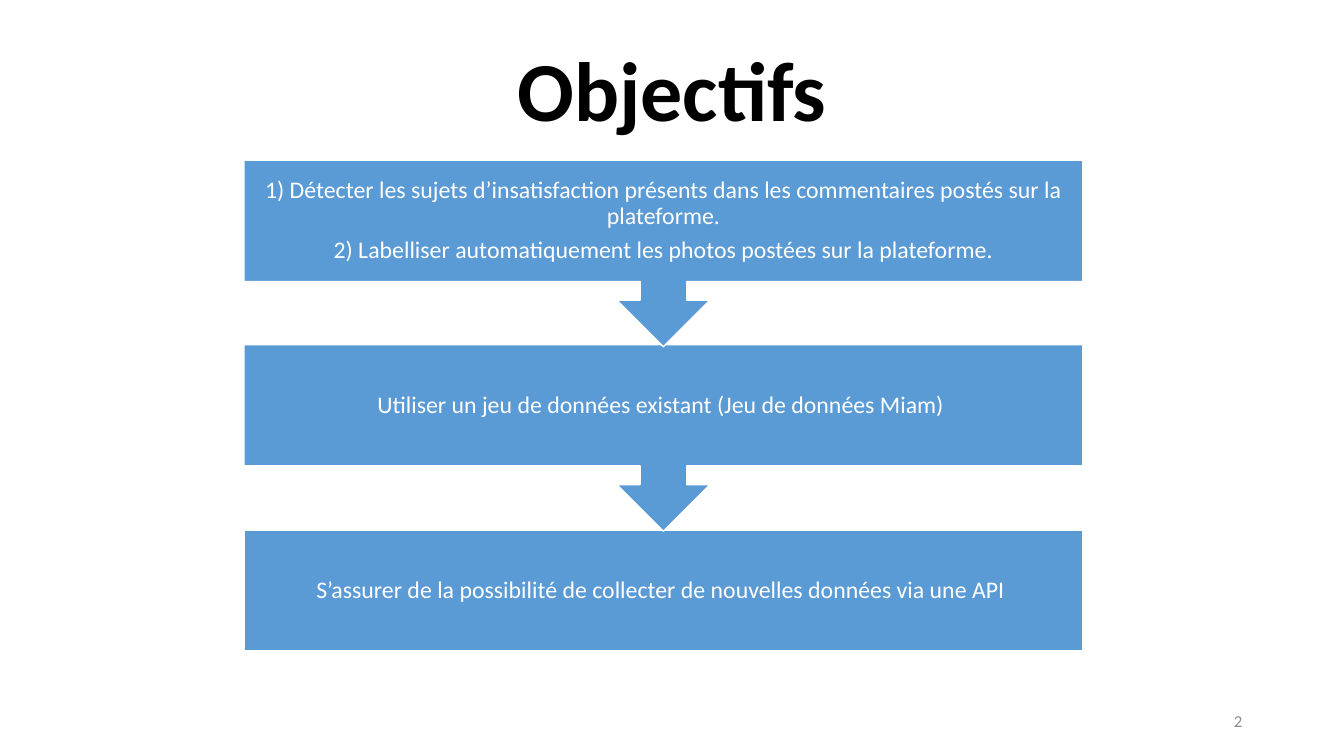
from pptx import Presentation
from pptx.dml.color import RGBColor
from pptx.enum.shapes import MSO_SHAPE as Shape
from pptx.enum.text import MSO_ANCHOR as Anchor, MSO_AUTO_SIZE as AutoSize, PP_ALIGN as Align
from pptx.util import Emu, Pt

PX = 9144  # EMU per px, 100 px to the inch
BLUE = RGBColor(0x5B, 0x9B, 0xD5)
WHITE = RGBColor(0xFF, 0xFF, 0xFF)
BLACK = RGBColor(0x00, 0x00, 0x00)
GREY = RGBColor(0x8C, 0x8C, 0x8C)
FONT = "Calibri"

BOX_HEIGHT = 120
CALLOUT_HEIGHT = 185
STEPS = [
    ["1) Détecter les sujets d’insatisfaction présents dans les commentaires postés sur la plateforme.",
     "2) Labelliser automatiquement les photos postées sur la plateforme."],
    ["Utiliser un jeu de données existant (Jeu de données Miam) "],
    ["S’assurer de la possibilité de collecter de nouvelles données via une API "],
]


def px(*lengths):
    return [Emu(length * PX) for length in lengths]


def write(frame, lines, size, color, align=Align.CENTER, bold=False, spacing=0.9, after=0):
    frame.word_wrap = True
    frame.auto_size = AutoSize.NONE
    frame.vertical_anchor = Anchor.MIDDLE
    for index, line in enumerate(lines):
        para = frame.add_paragraph() if index else frame.paragraphs[0]
        para.alignment = align
        para.line_spacing = spacing
        para.space_before = Pt(0)
        para.space_after = Pt(after)
        span = para.add_run()
        span.text = line
        span.font.name = FONT
        span.font.size = Pt(size)
        span.font.bold = bold
        span.font.color.rgb = color


def add_title(page, left, top, width, height):
    title = page.shapes.title
    title.left, title.top, title.width, title.height = px(left, top, width, height)
    write(title.text_frame, ["Objectifs"], 60, BLACK, bold=True)


def add_step(page, lines, is_last, left, top, width):
    kind = Shape.RECTANGLE if is_last else Shape.DOWN_ARROW_CALLOUT
    height = BOX_HEIGHT if is_last else CALLOUT_HEIGHT
    step = page.shapes.add_shape(kind, *px(left, top, width, height))
    if not is_last:
        # shaft width, half head width, head length, box share
        for index, share in enumerate([0.25, 0.25, 0.25, 0.65]):
            step.adjustments[index] = share
    step.shadow.inherit = False
    step.fill.solid()
    step.fill.fore_color.rgb = BLUE
    step.line.color.rgb = WHITE
    step.line.width = Pt(1)
    frame = step.text_frame
    frame.margin_left = frame.margin_right = frame.margin_top = frame.margin_bottom = px(13)[0]
    write(frame, lines, 17, WHITE, after=6)


def add_process(page, left, top, width, height):
    pitch = (height - BOX_HEIGHT) / (len(STEPS) - 1)
    # Last step first, so each arrow tip lies over the box below
    for index in reversed(range(len(STEPS))):
        is_last = index == len(STEPS) - 1
        add_step(page, STEPS[index], is_last, left, top + int(index * pitch), width)


def add_page_number(page, left, top, width, height):
    box = page.shapes.add_textbox(*px(left, top, width, height))
    write(box.text_frame, ["2"], 12, GREY, align=Align.RIGHT, spacing=1.0)


def main():
    deck = Presentation()
    deck.slide_width, deck.slide_height = px(1333, 750)
    page = deck.slides.add_slide(deck.slide_layouts[5])
    add_title(page, 0, 3, 1333, 182)
    add_page_number(page, 942, 695, 300, 40)
    add_process(page, 242, 159, 832, 487)
    deck.save("out.pptx")


if __name__ == "__main__":
    main()
